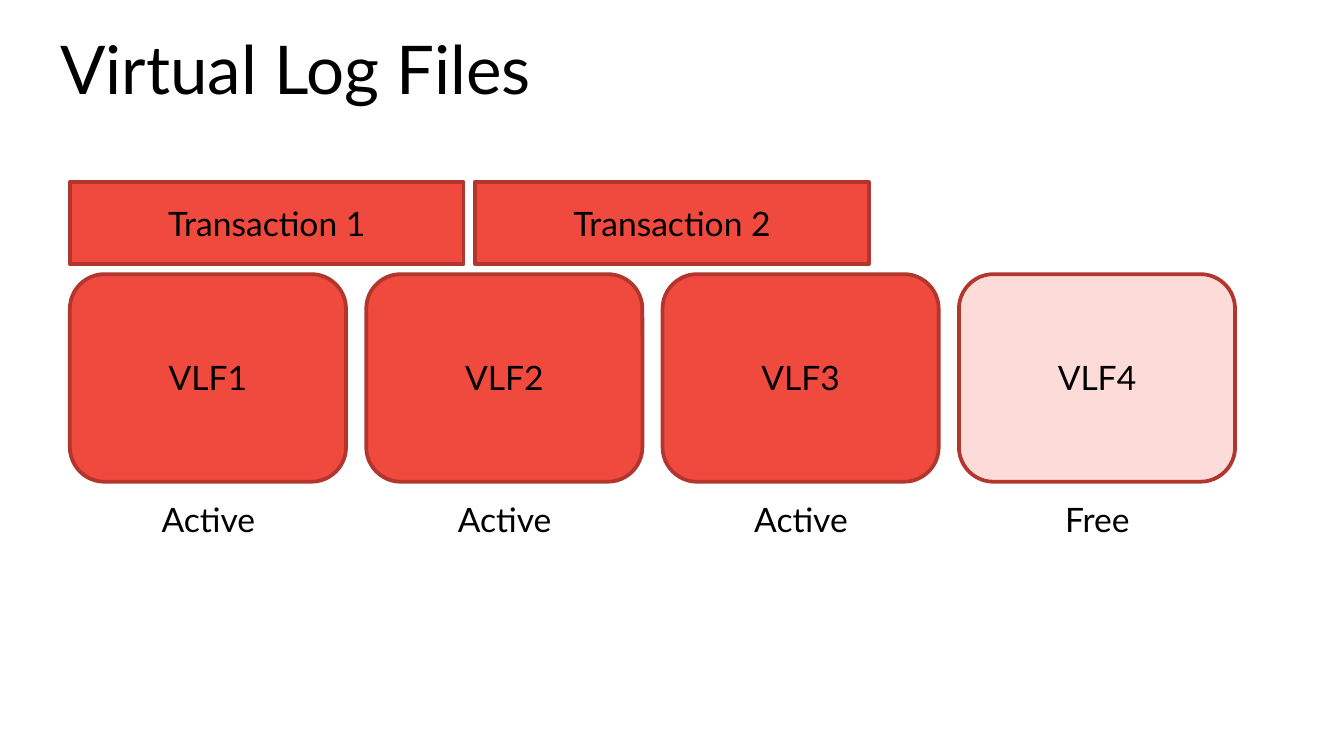
from pptx import Presentation, util as u
from pptx.dml.color import RGBColor
from pptx.enum import shapes, text

PX = 4572
RED, PALE, EDGE, INK = "F0493E", "FCDBD8", "B2362E", "000000"


def color(value):
    return RGBColor.from_string(value)


class LogSlide:
    """Draws labelled blocks and captions on one slide in a shared style."""

    def __init__(self, deck, font="Lato"):
        self.slide = deck.slides.add_slide(deck.slide_layouts[6])
        self.font = font

    def label(self, words, left, top, width, height=80, size=18, align="CENTER"):
        box = self.slide.shapes.add_textbox(*(n * PX for n in (left, top, width, height)))
        frame = box.text_frame
        frame.word_wrap = True
        frame.vertical_anchor = text.MSO_ANCHOR.TOP
        paragraph = frame.paragraphs[0]
        paragraph.text = words
        paragraph.alignment = text.PP_ALIGN[align]
        paragraph.font.name = self.font
        paragraph.font.size = u.Pt(size)
        paragraph.font.color.rgb = color(INK)
        return paragraph

    def title(self, words):
        heading = self.label(words, 70, 54, 1854, 134, size=36, align="LEFT")
        heading.line_spacing = u.Pt(35)

    def block(self, preset, words, left, top, width, height, fill, inset):
        body = self.slide.shapes.add_shape(preset, *(n * PX for n in (left, top, width, height)))
        body.shadow.inherit = False
        body.fill.solid()
        body.fill.fore_color.rgb = color(fill)
        body.line.color.rgb = color(EDGE)
        body.line.width = u.Pt(2)
        self.label(words, left + inset, top + (height - 80) // 2, width - 2 * inset)


def main():
    deck = Presentation()
    deck.slide_width, deck.slide_height = 2000 * PX, 1125 * PX
    log = LogSlide(deck)
    log.title("Virtual Log Files")

    first_left, file_pitch, transaction_pitch = 104, 441, 603
    states = ["Active", "Active", "Active", "Free"]
    for index, state in enumerate(states):
        fill = RED if state == "Active" else PALE
        log.block(shapes.MSO_SHAPE.ROUNDED_RECTANGLE, f"VLF{index + 1}",
                  first_left + index * file_pitch, 408, 411, 309, fill, inset=54)
    for index in range(2):
        log.block(shapes.MSO_SHAPE.RECTANGLE, f"Transaction {index + 1}",
                  first_left + index * transaction_pitch, 271, 586, 122, RED, inset=87)
    for index, state in enumerate(states):
        log.label(state, first_left + 101 + index * file_pitch, 733, 210)

    deck.save("out.pptx")


if __name__ == "__main__":
    main()
